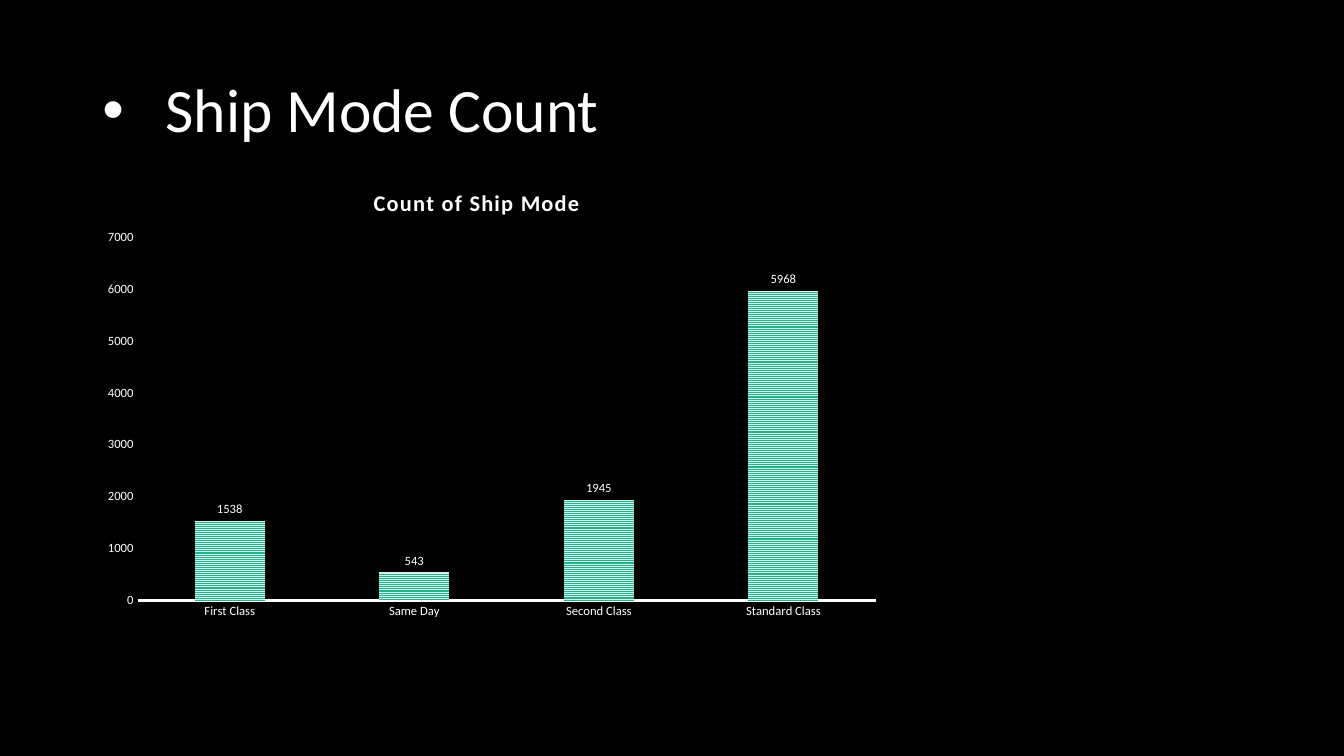
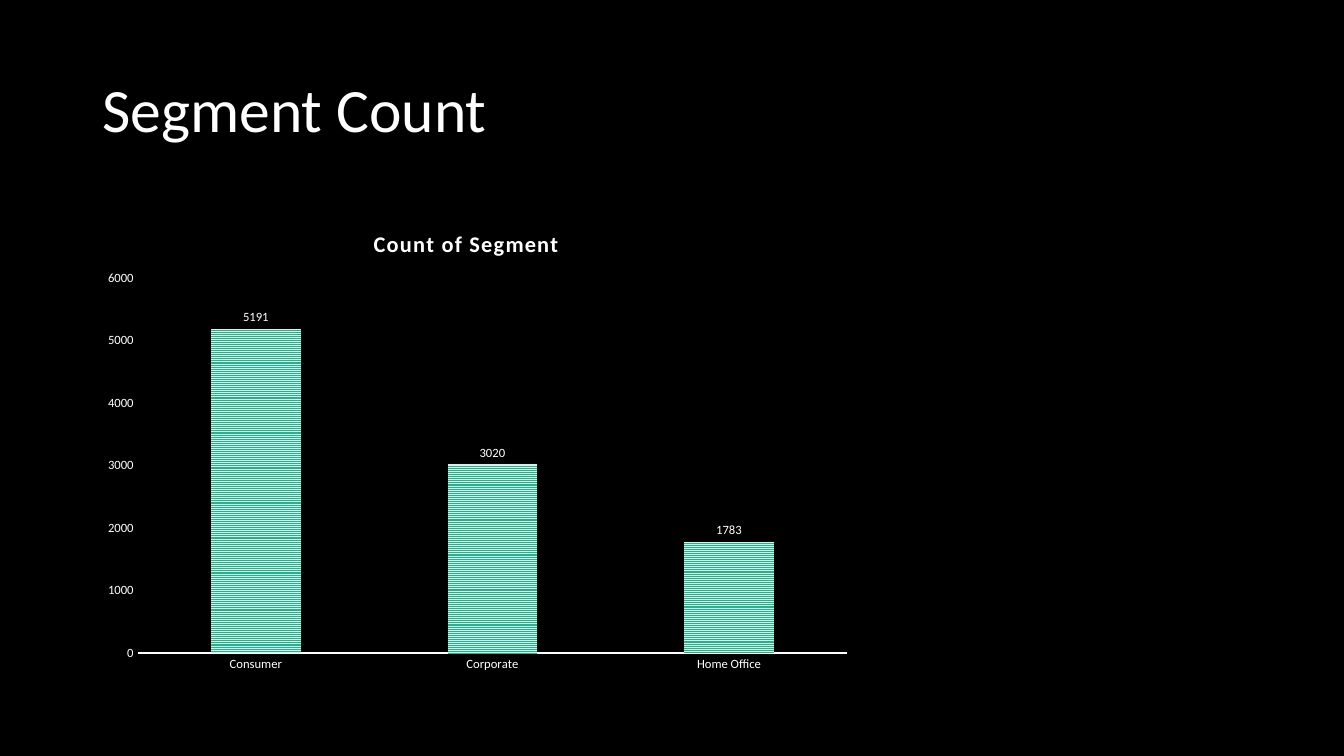
from pptx import Presentation
from pptx.chart.data import CategoryChartData
from pptx.dml.color import RGBColor
from pptx.enum.chart import XL_CHART_TYPE, XL_LABEL_POSITION, XL_TICK_MARK
from pptx.enum.dml import MSO_PATTERN
from pptx.enum.text import MSO_ANCHOR, PP_ALIGN
from pptx.oxml import parse_xml
from pptx.oxml.ns import nsdecls, qn
from pptx.util import Emu, Pt

SLIDES = [
    {"title": "Ship Mode Count", "bullet": True,
     "chart_title": "Count of Ship Mode", "box": (88, 153, 762, 446), "max": 7000,
     "data": {"First Class": 1538, "Same Day": 543,
              "Second Class": 1945, "Standard Class": 5968}},
    {"title": "Segment Count", "bullet": False,
     "chart_title": "Count of Segment", "box": (88, 192, 735, 457), "max": 6000,
     "data": {"Consumer": 5191, "Corporate": 3020, "Home Office": 1783}},
]

FONT = "Calibri"
BLACK, WHITE = "000000", "FFFFFF"
STRIPE_DARK, STRIPE_LIGHT = "29AF8C", "CFF4EA"
TITLE_BOX = (88, 38, 1104, 139)
BULLET_INDENT = 60
PLOT_MARGINS = (43, 73, 16, 27)  # left, top, right, bottom
CHART_TITLE_AT = (264, 22)


def px(n):
    return Emu(n * 9525)


def color(hex_code):
    return RGBColor.from_string(hex_code)


def style(font, size, bold=False):
    font.name, font.size, font.bold = FONT, Pt(size), bold
    font.color.rgb = color(WHITE)


def place(shape, box):
    shape.left, shape.top, shape.width, shape.height = map(px, box)


def layout_xml(**values):
    """Build a manual chart layout from fractions of the chart's size."""
    target = '<c:layoutTarget val="inner"/>' if "w" in values else ""
    modes = '<c:xMode val="edge"/><c:yMode val="edge"/>'
    parts = "".join(f'<c:{k} val="{v:.4f}"/>' for k, v in values.items())
    return parse_xml(f'<c:layout {nsdecls("c")}><c:manualLayout>'
                     f'{target}{modes}{parts}</c:manualLayout></c:layout>')


def drop_layout(element):
    for old in element.findall(qn("c:layout")):
        element.remove(old)


def add_title(s, text, bullet):
    tf = s.shapes.title.text_frame
    p = tf.paragraphs[0]
    p.alignment, p.line_spacing = PP_ALIGN.LEFT, 0.9
    if bullet:
        pPr = p._p.get_or_add_pPr()
        pPr.set("marL", str(px(BULLET_INDENT)))
        pPr.set("indent", str(-px(BULLET_INDENT)))
        pPr.append(parse_xml(f'<a:buFont {nsdecls("a")} typeface="Arial"/>'))
        pPr.append(parse_xml(f'<a:buChar {nsdecls("a")} char="•"/>'))
    r = p.add_run()
    r.text = text
    style(r.font, 44)


def add_chart_title(chart, text, width, height):
    title = chart.chart_title
    r = title.text_frame.paragraphs[0].add_run()
    r.text = text
    style(r.font, 16, bold=True)
    r._r.get_or_add_rPr().set("spc", "100")
    x, y = CHART_TITLE_AT
    element = title._element
    drop_layout(element)
    element.find(qn("c:tx")).addnext(layout_xml(x=x / width, y=y / height))


def style_axes(chart, maximum):
    for axis in (chart.category_axis, chart.value_axis):
        axis.major_tick_mark = axis.minor_tick_mark = XL_TICK_MARK.NONE
        axis.has_major_gridlines = False
        style(axis.tick_labels.font, 9)
    line = chart.category_axis.format.line
    line.color.rgb, line.width = color(WHITE), Pt(1.5)
    values = chart.value_axis
    values.format.line.fill.background()
    values.minimum_scale, values.maximum_scale, values.major_unit = 0, maximum, 1000


def add_column_chart(s, title, box, data, maximum):
    chart_data = CategoryChartData()
    chart_data.categories = list(data)
    chart_data.add_series("Series 1", list(data.values()))
    chart = s.shapes.add_chart(XL_CHART_TYPE.COLUMN_CLUSTERED,
                               *map(px, box), chart_data).chart
    chart.has_legend = False
    style(chart.font, 10)
    width, height = box[2:]
    add_chart_title(chart, title, width, height)
    style_axes(chart, maximum)

    plot = chart.plots[0]
    plot.gap_width, plot.overlap, plot.vary_by_categories = 164, -22, False
    series = plot.series[0]
    fill = series.format.fill
    fill.patterned()
    fill.pattern = MSO_PATTERN.NARROW_HORIZONTAL
    fill.fore_color.rgb, fill.back_color.rgb = color(STRIPE_DARK), color(STRIPE_LIGHT)
    labels = series.data_labels
    labels.show_value, labels.position = True, XL_LABEL_POSITION.OUTSIDE_END
    style(labels.font, 9)

    left, top, right, bottom = PLOT_MARGINS
    area = chart._chartSpace.chart.plotArea
    drop_layout(area)
    area.insert(0, layout_xml(x=left / width, y=top / height,
                              w=(width - left - right) / width,
                              h=(height - top - bottom) / height))


def main():
    prs = Presentation()
    prs.slide_width, prs.slide_height = px(1280), px(720)
    background = prs.slide_master.background.fill
    background.solid()
    background.fore_color.rgb = color(BLACK)
    layout = prs.slide_layouts.get_by_name("Title Only")
    layout_title = layout.placeholders[0]
    place(layout_title, TITLE_BOX)
    layout_title.text_frame.vertical_anchor = MSO_ANCHOR.MIDDLE

    for item in SLIDES:
        s = prs.slides.add_slide(layout)
        add_title(s, item["title"], item["bullet"])
        add_column_chart(s, item["chart_title"], item["box"], item["data"], item["max"])
    prs.save("out.pptx")


if __name__ == "__main__":
    main()
